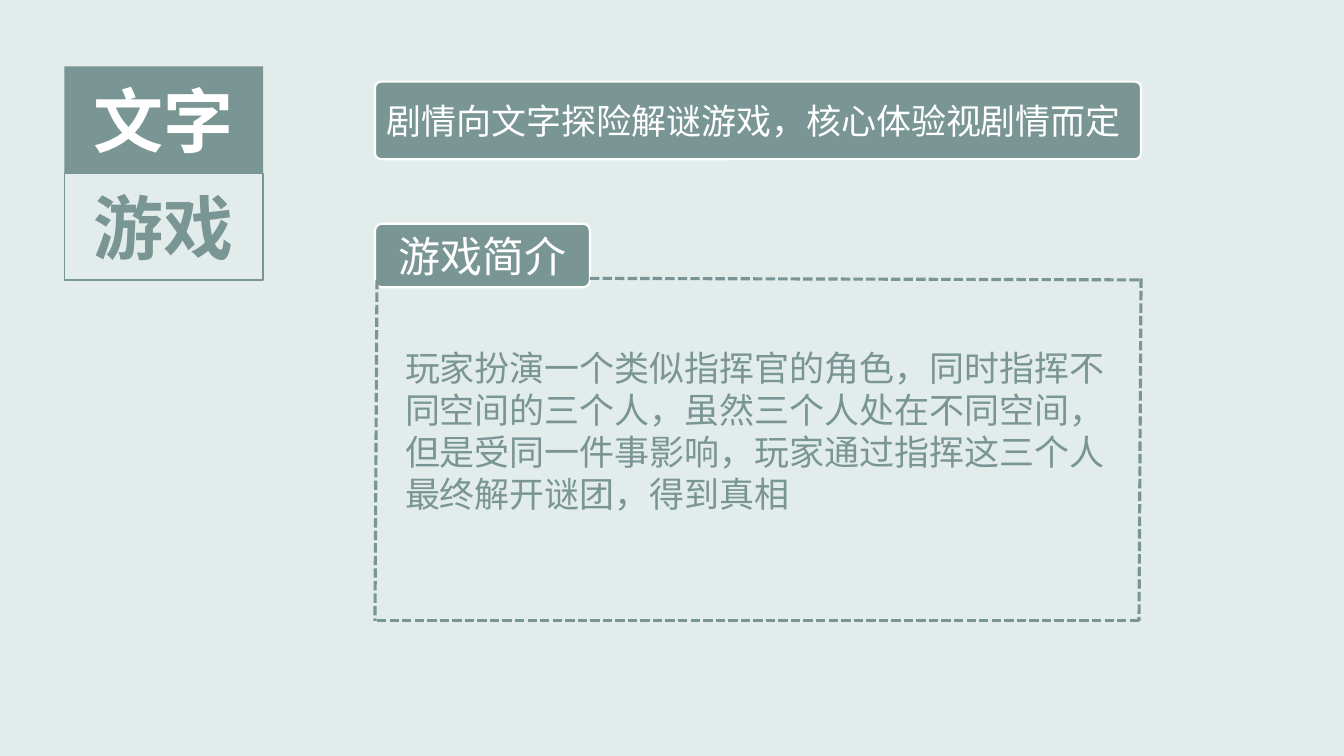
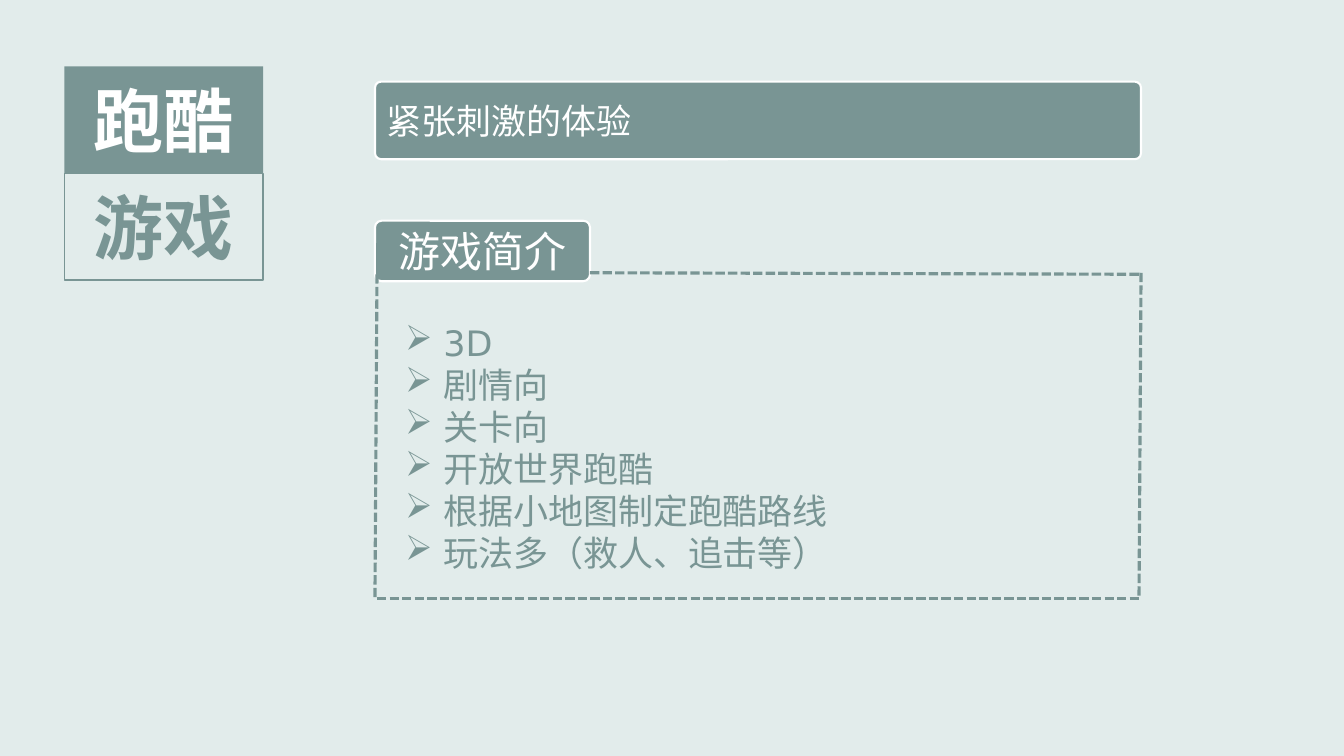
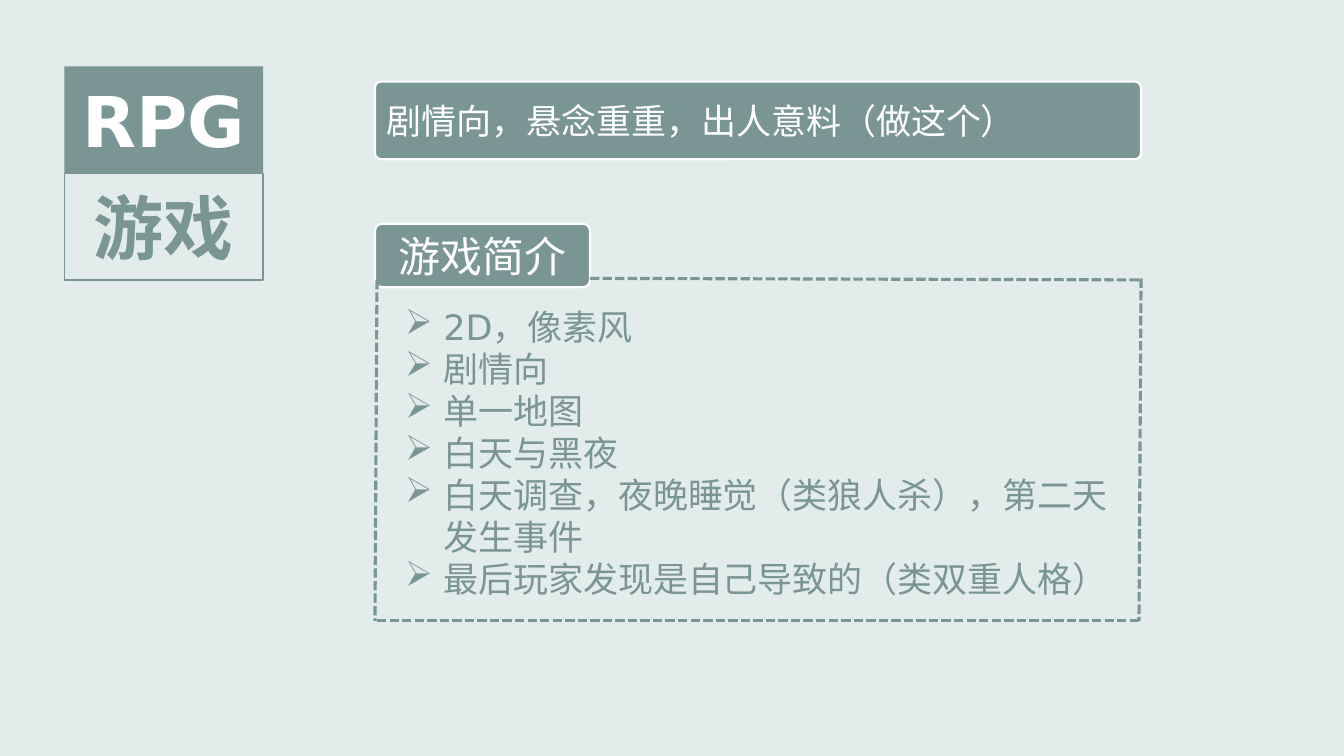
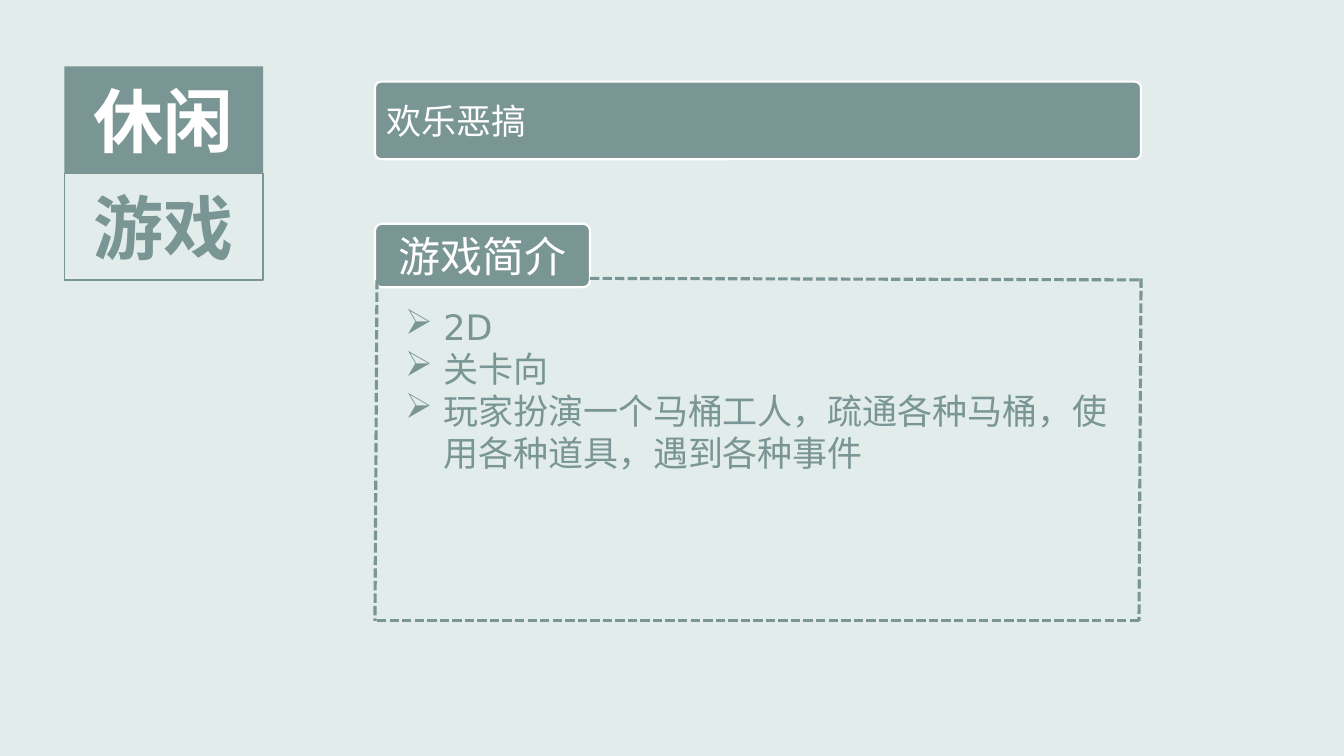
from lxml import etree
from pptx import Presentation
from pptx.dml.color import RGBColor
from pptx.enum.dml import MSO_LINE
from pptx.enum.shapes import MSO_CONNECTOR, MSO_SHAPE
from pptx.enum.text import MSO_ANCHOR, MSO_AUTO_SIZE, PP_ALIGN
from pptx.oxml.ns import qn
from pptx.util import Inches, Pt

SAGE = RGBColor(0x79, 0x95, 0x94)
MIST = RGBColor(0xE2, 0xEC, 0xEB)
WHITE = RGBColor(0xFF, 0xFF, 0xFF)
RECT, ROUND = MSO_SHAPE.RECTANGLE, MSO_SHAPE.ROUNDED_RECTANGLE
LINE = MSO_CONNECTOR.STRAIGHT
DASH = MSO_LINE.SQUARE_DOT
MID = MSO_ANCHOR.MIDDLE
GROW = MSO_AUTO_SIZE.SHAPE_TO_FIT_TEXT
LEFT, MIDST = PP_ALIGN.LEFT, PP_ALIGN.CENTER

FACE = "DejaVu Sans"
HEAD = {"name": FACE, "size": Pt(50), "bold": True}
LABEL = {"name": FACE, "size": Pt(30), "bold": False}
BODY = {"name": FACE, "size": Pt(25), "bold": False}

deck = Presentation()
deck.slide_width, deck.slide_height = Inches(13.33), Inches(7.5)
ground = deck.slide_master.background.fill
ground.solid()
ground.fore_color.rgb = MIST


def share(x, y, *rest):
    sides = (deck.slide_width, deck.slide_height) * 2
    return [int(side * part / 100) for side, part in zip(sides, (x, y, *rest))]


def write(par, text, look, tint, side):
    par.text = text
    par.alignment = side
    for key, val in look.items():
        setattr(par.font, key, val)
    par.font.color.rgb = tint


TILE_X, TILE_Y, TILE_W, TILE_H = 4.8, 8.8, 14.78, 14.13
BAR_X, BAR_Y, BAR_W, BAR_H = 27.9, 10.8, 57, 10.27
TAB_W = 16
BODY_X, BODY_W = 29.4, 53.93
ROW, PAD = 5.65, 1.13
SKEW_X, SKEW_Y = 0.15, 0.2
MARK = Inches(0.38)

GAMES = [
    {"kind": "文字", "pitch": "剧情向文字探险解谜游戏，核心体验视剧情而定",
     "tab": (29.6, 8.4), "foot": 82.13, "top": 45.2, "rows": 4, "list": False,
     "body": ["玩家扮演一个类似指挥官的角色，同时指挥不同空间的三个人，虽然三个人处在不同空间，"
              "但是受同一件事影响，玩家通过指挥这三个人最终解开谜团，得到真相"]},
    {"kind": "跑酷", "pitch": "紧张刺激的体验",
     "tab": (29.2, 8), "foot": 79.2, "top": 41.87, "rows": 6, "list": True,
     "body": ["3D", "剧情向", "关卡向", "开放世界跑酷", "根据小地图制定跑酷路线",
              "玩法多（救人、追击等）"]},
    {"kind": "RPG", "pitch": "剧情向，悬念重重，出人意料（做这个）",
     "tab": (29.6, 8.4), "foot": 82.13, "top": 39.73, "rows": 7, "list": True,
     "body": ["2D，像素风", "剧情向", "单一地图", "白天与黑夜",
              "白天调查，夜晚睡觉（类狼人杀），第二天发生事件",
              "最后玩家发现是自己导致的（类双重人格）"]},
    {"kind": "休闲", "pitch": "欢乐恶搞",
     "tab": (29.6, 8.4), "foot": 82.13, "top": 39.73, "rows": 4, "list": True,
     "body": ["2D", "关卡向", "玩家扮演一个马桶工人，疏通各种马桶，使用各种道具，遇到各种事件"]},
]

for game in GAMES:
    shapes = deck.slides.add_slide(deck.slide_layouts[6]).shapes
    tab_y, tab_h = game["tab"]
    foot = game["foot"]

    boxes = [
        (RECT, (TILE_X, TILE_Y, TILE_W, TILE_H), None, SAGE, None, 0,
         game["kind"], HEAD, WHITE, MIDST),
        (RECT, (TILE_X, TILE_Y + TILE_H, TILE_W, TILE_H), None, MIST, SAGE, 1,
         "游戏", HEAD, SAGE, MIDST),
        (ROUND, (BAR_X, BAR_Y, BAR_W, BAR_H), 0.08, SAGE, WHITE, 1.5,
         game["pitch"], BODY, WHITE, LEFT),
        (ROUND, (BAR_X, tab_y, TAB_W, tab_h), 0.11, SAGE, WHITE, 1.5,
         "游戏简介", LABEL, WHITE, MIDST),
    ]
    for form, at, bend, fill, edge, width, text, look, tint, side in boxes:
        box = shapes.add_shape(form, *share(*at))
        box.shadow.inherit = False
        box.fill.solid()
        box.fill.fore_color.rgb = fill
        if bend:
            box.adjustments[0] = bend
        if edge is None:
            box.line.fill.background()
        else:
            box.line.color.rgb = edge
            box.line.width = Pt(width)
        box.text_frame.word_wrap = True
        box.text_frame.vertical_anchor = MID
        write(box.text_frame.paragraphs[0], text, look, tint, side)

    left, right = BAR_X, BAR_X + BAR_W
    top = tab_y + tab_h * 0.86
    inner = right - SKEW_X
    frame = [
        (left + SKEW_X, top + SKEW_Y, left, foot),
        (right, top, inner, foot),
        (left + SKEW_X, foot, inner, foot),
        (left + TAB_W, top, inner, top + SKEW_Y),
    ]
    for ends in frame:
        rule = shapes.add_connector(LINE, *share(*ends))
        rule.line.color.rgb = SAGE
        rule.line.width = Pt(2.25)
        rule.line.dash_style = DASH
        etree.SubElement(rule._element.spPr, qn("a:effectLst"))

    note = shapes.add_textbox(
        *share(BODY_X, game["top"], BODY_W, game["rows"] * ROW + PAD)).text_frame
    note.word_wrap = True
    note.auto_size = GROW
    for place, text in enumerate(game["body"]):
        par = note.add_paragraph() if place else note.paragraphs[0]
        if game["list"]:
            props = par._p.get_or_add_pPr()
            props.set("marL", str(MARK))
            props.set("indent", str(-MARK))
            etree.SubElement(props, qn("a:buChar")).set("char", "➢")
        write(par, text, BODY, SAGE, LEFT)

deck.save("out.pptx")
